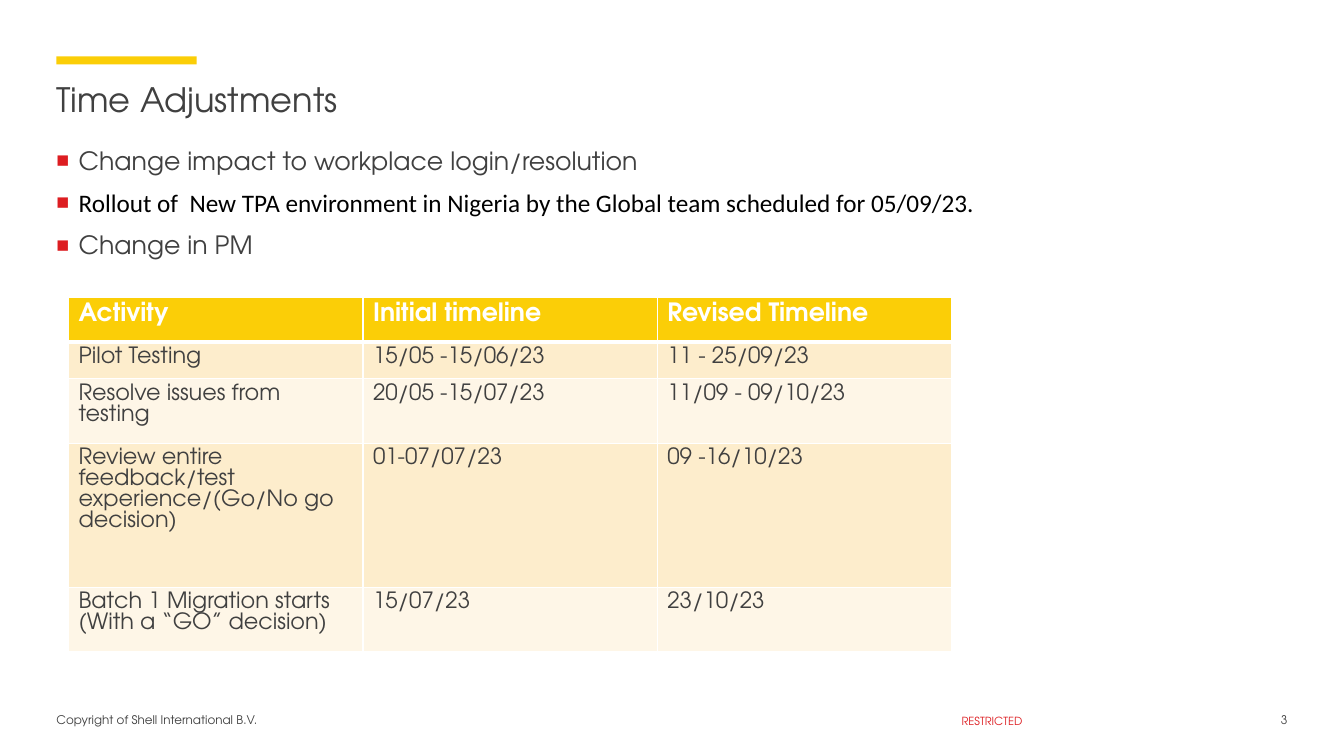
from lxml import etree
from pptx import Presentation
from pptx.dml.color import RGBColor
from pptx.enum.shapes import MSO_SHAPE
from pptx.enum.text import MSO_ANCHOR, PP_ALIGN
from pptx.oxml.ns import qn
from pptx.util import Emu, Pt

RECTANGLE = MSO_SHAPE.RECTANGLE
TOP = MSO_ANCHOR.TOP
LEFT, CENTER, RIGHT = PP_ALIGN.LEFT, PP_ALIGN.CENTER, PP_ALIGN.RIGHT
TITLE_ONLY = 5

BULLETS = [
    ("Change impact to workplace login/resolution", "TeX Gyre Adventor", "404040"),
    ("Rollout of  New TPA environment in Nigeria by the Global team scheduled for 05/09/23.",
     "Calibri", "000000"),
    ("Change in PM", "TeX Gyre Adventor", "404040"),
]
TIMELINE = [
    ("Activity", "Initial timeline", "Revised Timeline"),
    ("Pilot Testing", "15/05 -15/06/23", "11 - 25/09/23"),
    ("Resolve issues from testing", "20/05 -15/07/23", "11/09 - 09/10/23"),
    ("Review entire feedback/test experience/(Go/No go decision)",
     "01-07/07/23", "09 -16/10/23"),
    ("Batch 1 Migration starts (With a “GO” decision)", "15/07/23", "23/10/23"),
]
ROW_HEIGHTS = [44, 36, 64, 143, 64]


def px(length):
    """Turn whole px, a hundred to the inch, into EMU."""
    return Emu(length * 9144)


def color(value):
    """Turn a hex string into a colour."""
    return RGBColor.from_string(value)


class SlideBuilder:
    """Holds the style and the current slide."""

    font = "TeX Gyre Adventor"
    ink, white, red, yellow = "404040", "FFFFFF", "DD1D21", "FBCE07"
    bands = ["FDEDCC", "FEF6E7"]

    def __init__(self, deck):
        """Add a title-only slide to the deck."""
        self.page = deck.slides.add_slide(deck.slide_layouts[TITLE_ONLY])

    def style(self, para, size, ink=None, bold=False, font=None):
        """Format every run of a paragraph."""
        for span in para.runs:
            span.font.name = font or self.font
            span.font.size = Pt(size)
            span.font.bold = bold
            span.font.color.rgb = color(ink or self.ink)

    def frame(self, shape, bottom=0, wrap=True):
        """Set margins, wrapping and anchor of a text frame."""
        frame = shape.text_frame
        frame.margin_left = frame.margin_top = frame.margin_right = 0
        frame.margin_bottom = px(bottom)
        frame.word_wrap = wrap
        frame.vertical_anchor = TOP
        return frame

    def title(self, text, left, top, width, height):
        """Place and format the title placeholder."""
        box = self.page.shapes.title
        box.left, box.top, box.width, box.height = map(px, (left, top, width, height))
        frame = self.frame(box)
        frame.text = text
        frame.paragraphs[0].alignment = LEFT
        self.style(frame.paragraphs[0], 24)

    def bar(self, left, top, width, height):
        """Draw the accent bar."""
        shape = self.page.shapes.add_shape(RECTANGLE, *map(px, (left, top, width, height)))
        shape.shadow.inherit = False
        shape.fill.solid()
        shape.fill.fore_color.rgb = color(self.yellow)
        shape.line.fill.background()

    def label(self, text, left, top, width, height, size, align=LEFT, ink=None, wrap=False):
        """Add a one-line footer label."""
        box = self.page.shapes.add_textbox(*map(px, (left, top, width, height)))
        frame = self.frame(box, bottom=5, wrap=wrap)
        frame.text = text
        frame.paragraphs[0].alignment = align
        self.style(frame.paragraphs[0], size, ink)

    def bullets(self, items, left, top, width, height):
        """Add a list with square bullets."""
        box = self.page.shapes.add_textbox(*map(px, (left, top, width, height)))
        frame = self.frame(box)
        frame.text = "\n".join(text for text, font, ink in items)
        for para, (text, font, ink) in zip(frame.paragraphs, items):
            para.line_spacing = 1.4
            props = para._p.get_or_add_pPr()
            props.set("marL", str(px(22)))
            props.set("indent", str(-px(22)))
            tint = etree.SubElement(props, qn("a:buClr"))
            etree.SubElement(tint, qn("a:srgbClr"), val=self.red)
            etree.SubElement(props, qn("a:buSzPct"), val="85000")
            etree.SubElement(props, qn("a:buFont"), typeface="Arial")
            etree.SubElement(props, qn("a:buChar"), char="■")
            self.style(para, 18, ink, font=font)

    def border(self, side, points):
        """Make one white cell border."""
        line = etree.Element(qn(f"a:ln{side}"), w=str(Pt(points)))
        fill = etree.SubElement(line, qn("a:solidFill"))
        etree.SubElement(fill, qn("a:srgbClr"), val=self.white)
        return line

    def table(self, rows, heights, left, top, column_width):
        """Add a table with a header row and banded body rows."""
        columns = len(rows[0])
        size = (column_width * columns, sum(heights))
        grid = self.page.shapes.add_table(
            len(rows), columns, px(left), px(top), *map(px, size)).table
        for column in grid.columns:
            column.width = px(column_width)
        for index, (texts, height) in enumerate(zip(rows, heights)):
            grid.rows[index].height = px(height)
            header = index == 0
            for cell, text in zip(grid.rows[index].cells, texts):
                cell.text = text
                para = cell.text_frame.paragraphs[0]
                self.style(para, 18 if header else 16,
                           self.white if header else self.ink, header)
                props = cell._tc.get_or_add_tcPr()
                for side in "LRTB":
                    thick = (header and side == "B") or (index == 1 and side == "T")
                    props.append(self.border(side, 3 if thick else 1))
                cell.fill.solid()
                cell.fill.fore_color.rgb = color(
                    self.yellow if header else self.bands[(index - 1) % 2])


def main():
    """Build the slide and save it."""
    deck = Presentation()
    deck.slide_width, deck.slide_height = px(1333), px(750)
    slide = SlideBuilder(deck)
    slide.bar(56, 56, 139, 8)
    slide.title("Time Adjustments", 56, 78, 1222, 55)
    slide.bullets(BULLETS, 56, 132, 929, 123)
    slide.table(TIMELINE, ROW_HEIGHTS, 68, 295, 292)
    slide.label("Copyright of Shell International B.V.", 56, 707, 367, 26, 8.5)
    slide.label("RESTRICTED", 925, 709, 118, 19, 8, CENTER, slide.red, wrap=True)
    slide.label("3", 1238, 707, 39, 26, 8.5, RIGHT)
    deck.save("out.pptx")


if __name__ == "__main__":
    main()
